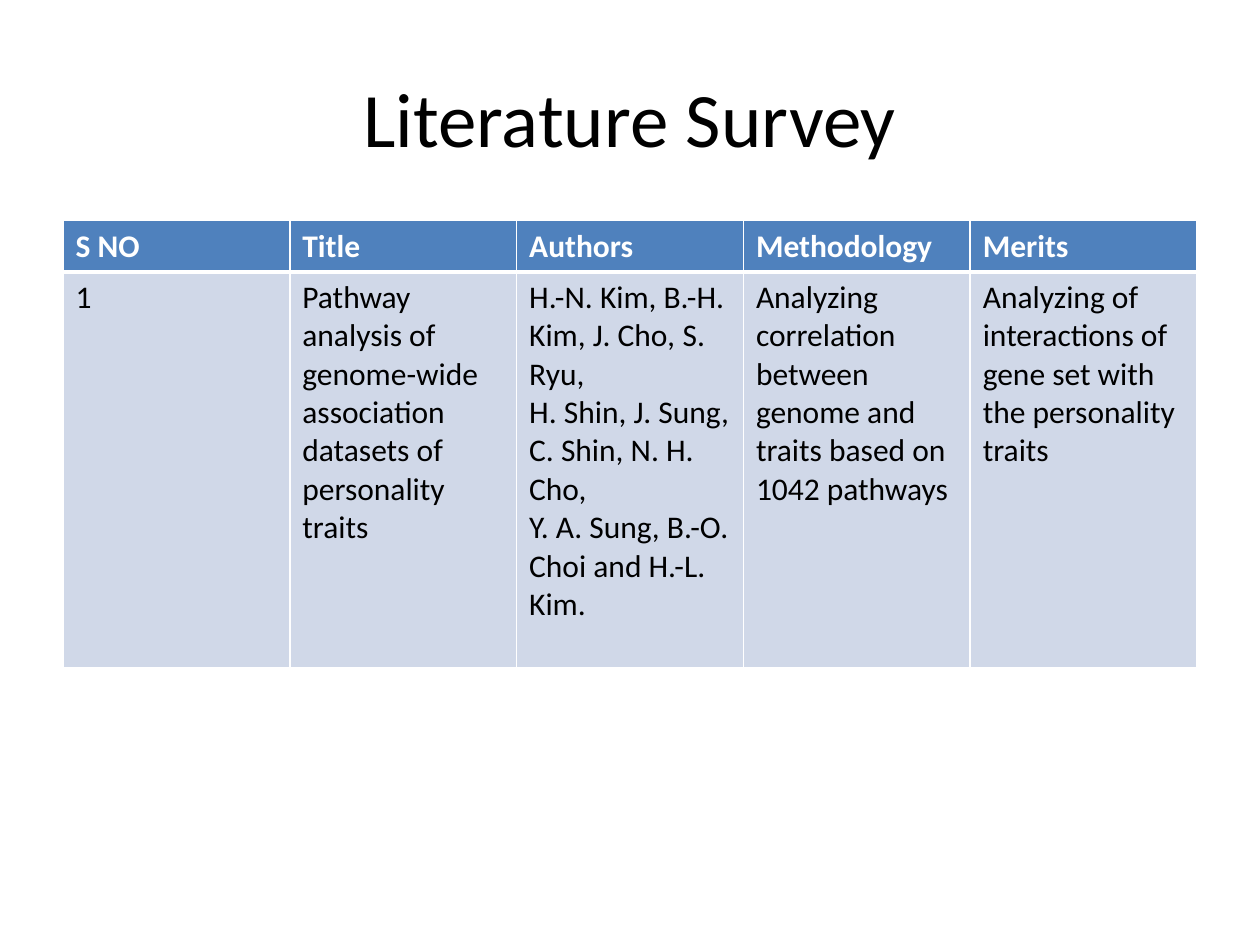
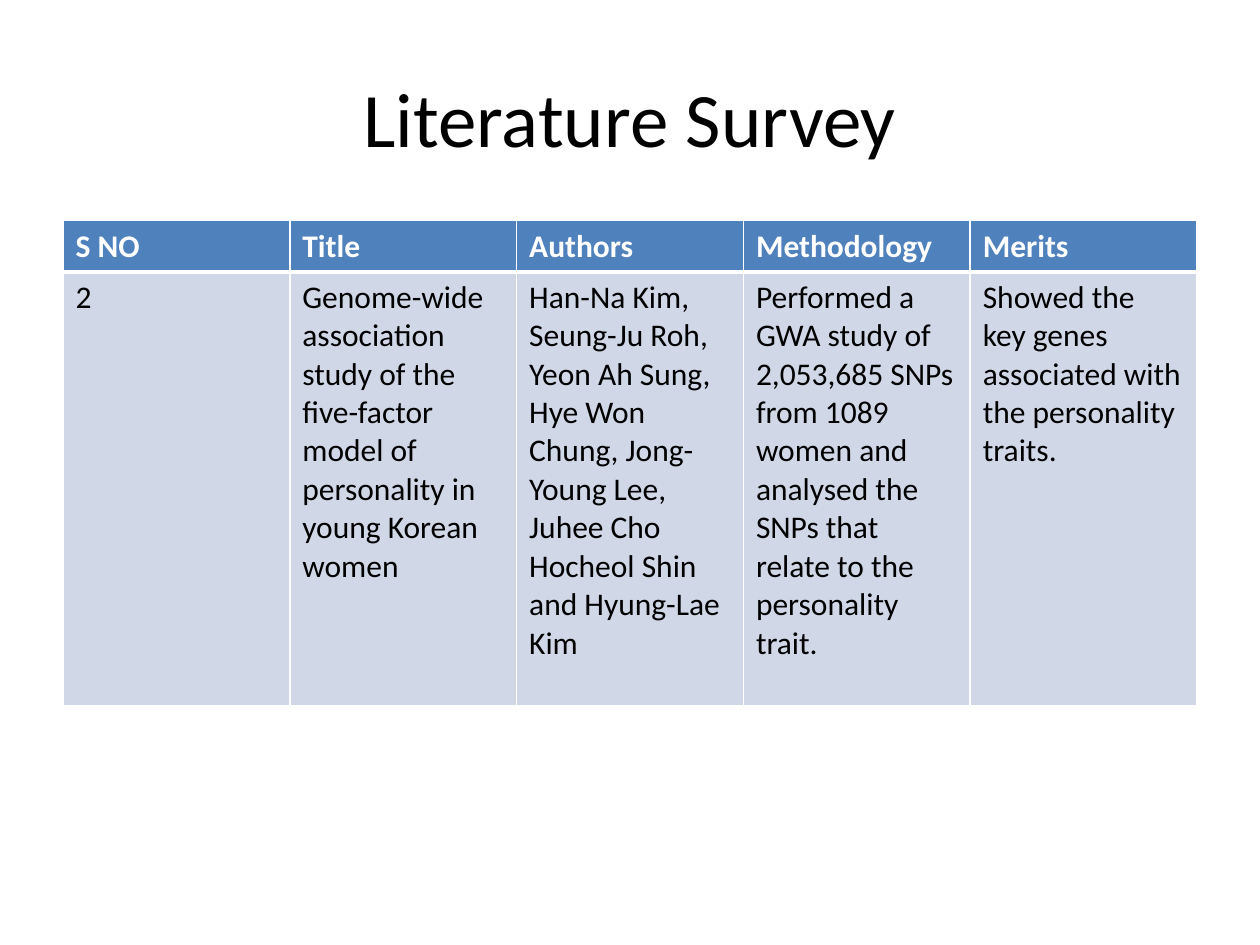
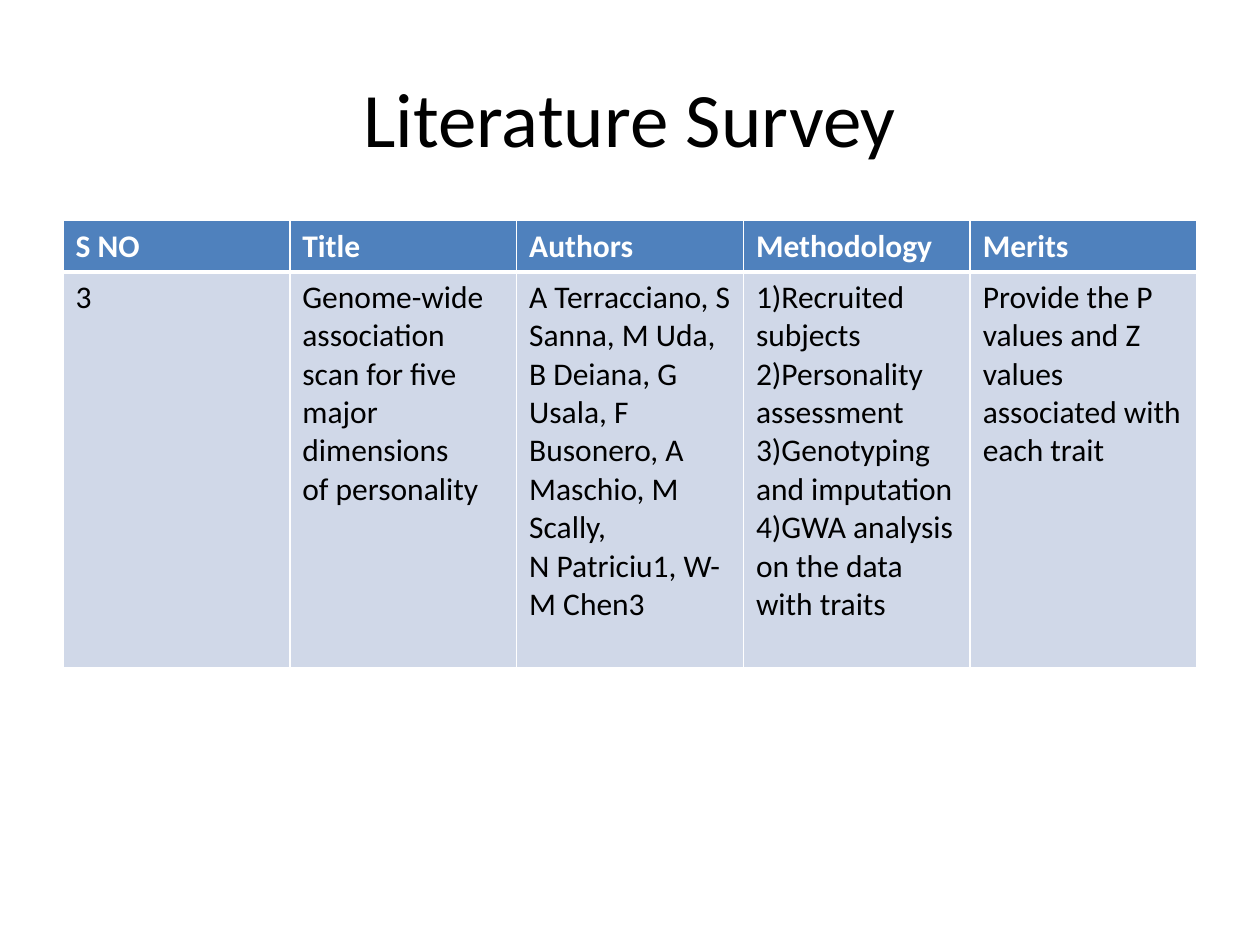
from dataclasses import dataclass

from lxml.etree import SubElement
from pptx import Presentation
from pptx.dml.color import RGBColor
from pptx.enum.text import MSO_ANCHOR, PP_ALIGN
from pptx.oxml.ns import qn
from pptx.slide import Slide
from pptx.table import _Cell
from pptx.text.text import TextFrame
from pptx.util import Cm, Pt


@dataclass(frozen=True)
class Theme:
    """Colours, font and type sizes of the deck."""
    font: str = "Calibri"
    ink: str = "000000"
    paper: str = "FFFFFF"
    head: str = "4F81BD"
    body: str = "D0D8E8"
    title: int = 44
    text: int = 18
    thin: int = 1
    thick: int = 3


@dataclass(frozen=True)
class Study:
    """One surveyed paper: its cells in column order, and its row height in cm.

    A line break starts a paragraph; asterisks enclose italics.
    """
    cells: tuple[str, ...]
    height: float


THEME = Theme()
LEFT, WIDTH = Cm(1.27), Cm(22.86)
HEADS = ("S NO", "Title", "Authors", "Methodology", "Merits")
STUDIES = (
    Study((
        "1",
        "Pathway analysis of genome-wide association datasets of "
        "personality traits",
        "H.-N. Kim, B.-H. Kim, J. Cho*,* S. Ryu,\n"
        "H. Shin, J. Sung, C. Shin, N. H. Cho,\n"
        "Y. A. Sung, B.-O. Choi and H.-L. Kim.",
        "Analyzing correlation between genome and traits based on "
        "1042 pathways",
        "Analyzing of interactions of gene set with the personality traits",
    ), 7.98),
    Study((
        "2",
        "Genome-wide association study of the five-factor\n"
        "model of personality in young Korean women",
        "Han-Na Kim, Seung-Ju Roh, Yeon Ah Sung, Hye Won Chung, "
        "Jong-Young Lee, Juhee Cho\n"
        "Hocheol Shin and Hyung-Lae Kim",
        "Performed a GWA study of 2,053,685 SNPs from 1089 women and "
        "analysed the SNPs that relate to the personality trait.",
        "Showed the key genes associated with the personality traits.",
    ), 8.75),
    Study((
        "3",
        "Genome-wide association scan for five major dimensions\n"
        "of personality",
        "A Terracciano, S Sanna, M Uda, B Deiana, G Usala, F Busonero, "
        "A Maschio, M Scally,\n"
        "N Patriciu1, W-M Chen3",
        "1)Recruited subjects\n"
        "2)Personality assessment\n"
        "3)Genotyping and imputation\n"
        "4)GWA analysis on the data with traits",
        "Provide the P values and Z values associated with each trait",
    ), 7.98),
)


def write(frame: TextFrame, text: str, size: int, ink: str,
          bold: bool = False) -> None:
    """Fill a text frame and format its runs."""
    frame.text = text
    for para in frame.paragraphs:
        parts = para.text.split("*")
        para.text = parts[0]
        for part in parts[1:]:
            para.add_run().text = part
        for i, run in enumerate(para.runs):
            font = run.font
            font.name, font.size = THEME.font, Pt(size)
            font.bold, font.italic = bold, i % 2 == 1
            font.color.rgb = RGBColor.from_string(ink)


def edge(cell: _Cell, top: int, base: int) -> None:
    """Draw the four borders of a cell, with top and base widths in points."""
    props = cell._tc.get_or_add_tcPr()
    sides = {"L": THEME.thin, "R": THEME.thin, "T": top, "B": base}
    for side, width in sides.items():
        line = SubElement(props, qn(f"a:ln{side}"), w=str(Pt(width)))
        fill = SubElement(line, qn("a:solidFill"))
        SubElement(fill, qn("a:srgbClr"), val=THEME.paper)


def add_title(slide: Slide, text: str) -> None:
    """Add the centred slide title."""
    box = slide.shapes.add_textbox(LEFT, Cm(0.76), WIDTH, Cm(3.18))
    frame = box.text_frame
    frame.word_wrap = True
    frame.vertical_anchor = MSO_ANCHOR.MIDDLE
    write(frame, text, THEME.title, THEME.ink)
    frame.paragraphs[0].alignment = PP_ALIGN.CENTER


def add_grid(slide: Slide, study: Study) -> None:
    """Add the table with a header row and one study."""
    tall = (Cm(1.03), Cm(study.height))
    grid = slide.shapes.add_table(
        2, len(HEADS), LEFT, Cm(4.45), WIDTH, sum(tall)).table
    for r, texts in enumerate((HEADS, study.cells)):
        grid.rows[r].height = tall[r]
        head = r == 0
        for c, text in enumerate(texts):
            cell = grid.cell(r, c)
            if head:
                edge(cell, THEME.thin, THEME.thick)
            else:
                edge(cell, THEME.thick, THEME.thin)
            cell.fill.solid()
            cell.fill.fore_color.rgb = RGBColor.from_string(
                THEME.head if head else THEME.body)
            write(cell.text_frame, text, THEME.text,
                  THEME.paper if head else THEME.ink, head)


def main() -> None:
    """Build one slide per study and save the deck."""
    deck = Presentation()
    deck.slide_width, deck.slide_height = Cm(25.4), Cm(19.05)
    for study in STUDIES:
        slide = deck.slides.add_slide(deck.slide_layouts[6])
        add_title(slide, "Literature Survey")
        add_grid(slide, study)
    deck.save("out.pptx")


main()
